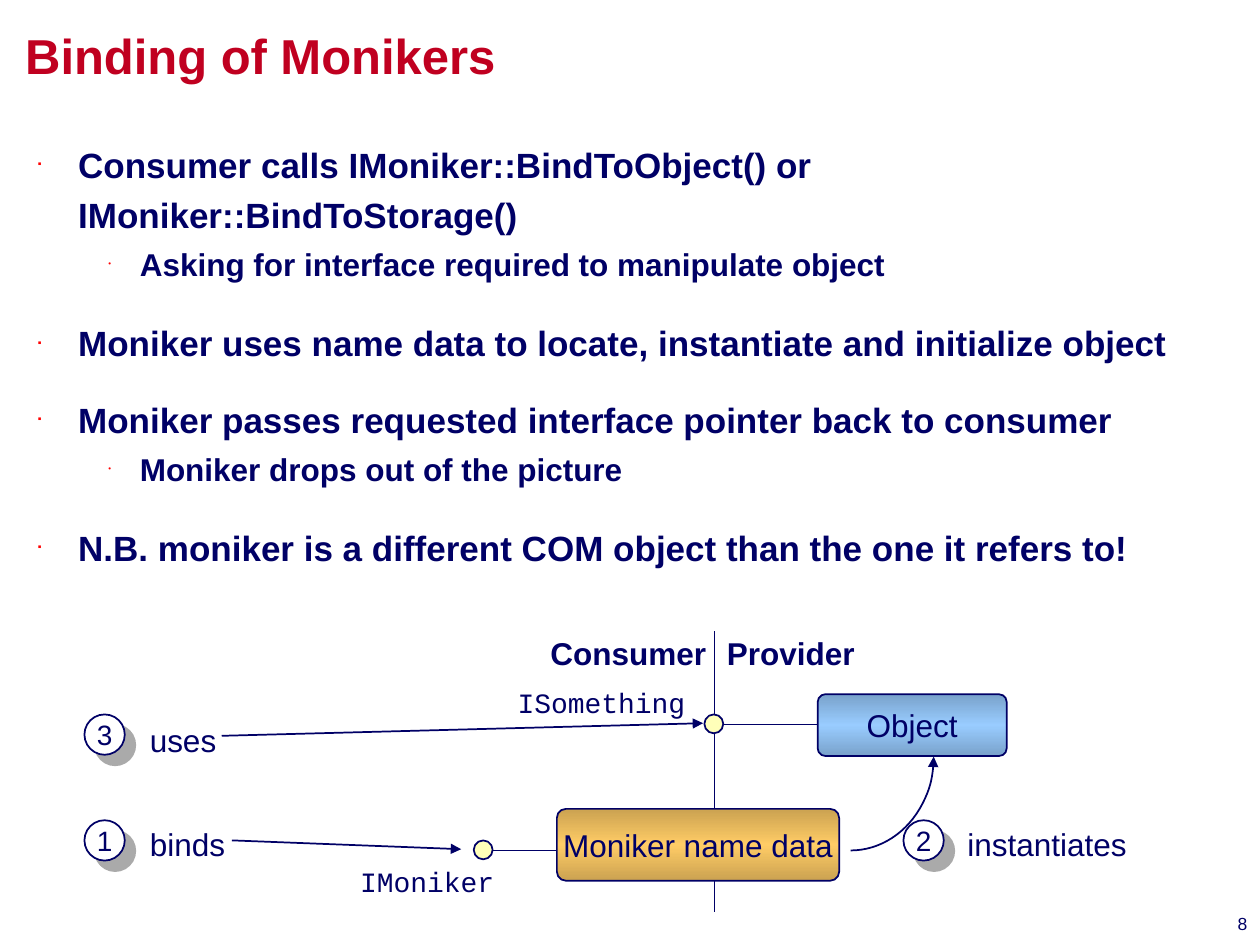
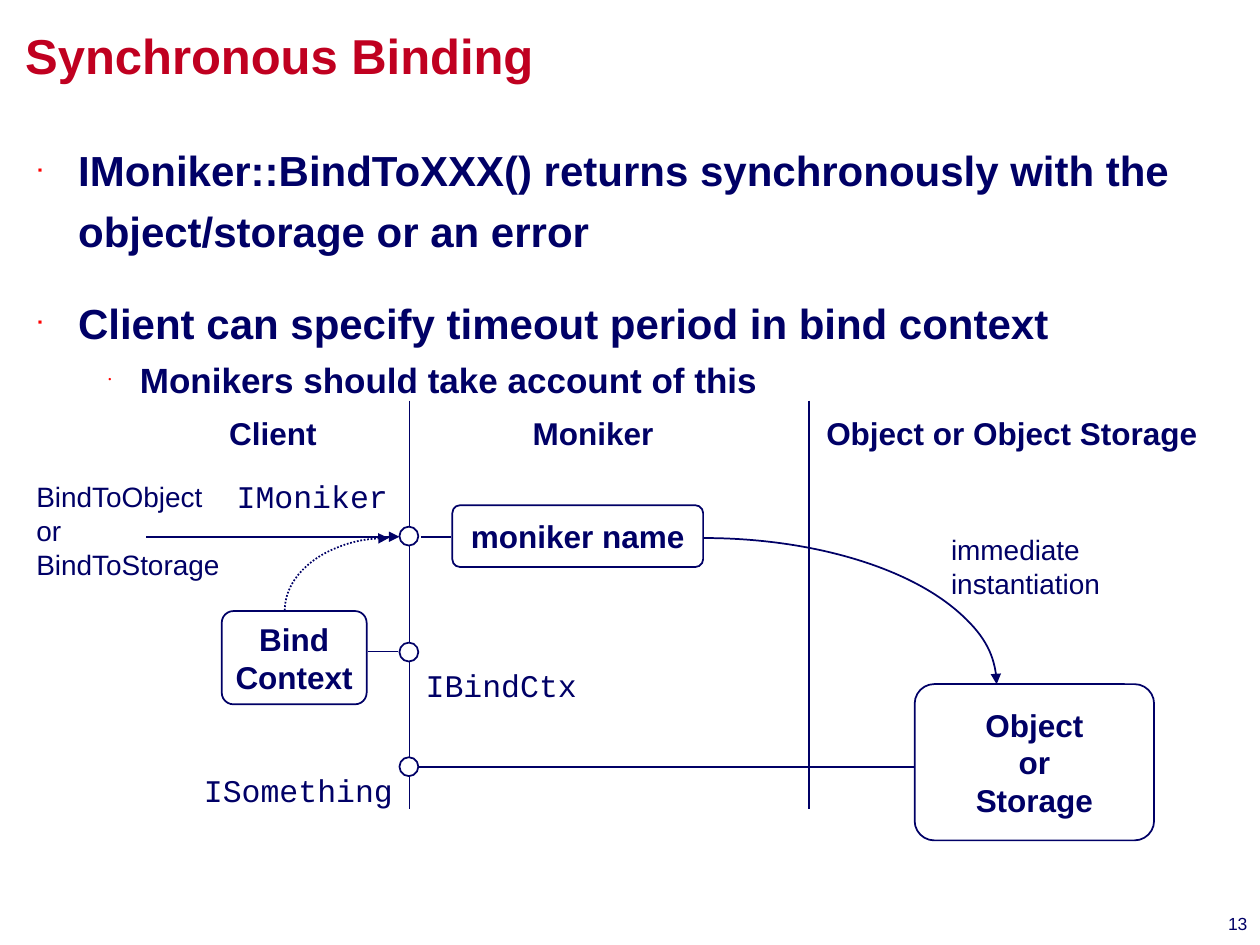
from copy import deepcopy
from typing import NamedTuple

from lxml import etree
from pptx import Presentation
from pptx import util as u
from pptx.dml.color import RGBColor
from pptx.enum import dml, shapes, text
from pptx.oxml.ns import qn

PX = 9144  # EMU in one px, 100 px to the inch
SLIDE_WIDTH, SLIDE_HEIGHT = 1000, 750
PORT_SIZE, BADGE_SIZE = 15, 32
SANS, MONO = "Arial", "Courier New"
COLORS = {
    "navy": "000066",
    "title": "C00020",
    "bullet": "FF0000",
    "white": "FFFFFF",
    "port": "FFFFB9",
    "gold": "FFCC66",
    "dark gold": "CBA251",
    "sky": "99CCFF",
    "dark sky": "79A2CB",
    "shadow": "AAAAAA",
}


# Parts of a slide; every length is in px
class Bullet(NamedTuple):
    text: str
    level: int = 0


class Link(NamedTuple):
    x1: int
    y1: int
    x2: int
    y2: int
    arrow: str = ""


class Box(NamedTuple):
    text: str
    left: int
    top: int
    width: int
    height: int
    bold: bool = True
    shades: tuple[str, ...] = ("white",)


class QuarterArc(NamedTuple):
    left: int
    top: int
    width: int
    height: int
    start: int
    end: int
    arrow: str
    dotted: bool = False


class Port(NamedTuple):
    left: int
    top: int
    color: str = "white"


class Badge(NamedTuple):
    number: str
    left: int
    top: int


class Label(NamedTuple):
    text: str
    left: int
    top: int
    width: int
    size: int = 18
    bold: bool = False
    font: str = SANS


class Page(NamedTuple):
    title: str
    number: str
    sizes: tuple[int, int]
    bullets: list[Bullet]
    links: list[Link]
    boxes: list[Box]
    arcs: list[QuarterArc]
    ports: list[Port]
    badges: list[Badge]
    labels: list[Label]


PAGES = [
    Page(
        "Binding of Monikers", "8", (20, 18),
        bullets=[
            Bullet("Consumer calls IMoniker::BindToObject() or IMoniker::BindToStorage()"),
            Bullet("Asking for interface required to manipulate object", 1),
            Bullet("Moniker uses name data to locate, instantiate and initialize object"),
            Bullet("Moniker passes requested interface pointer back to consumer"),
            Bullet("Moniker drops out of the picture", 1),
            Bullet("N.B. moniker is a different COM object than the one it refers to!"),
        ],
        links=[
            Link(467, 675, 389, 675),
            Link(567, 501, 567, 724),
            Link(651, 575, 572, 575),
            Link(184, 667, 366, 674, "tailEnd"),
            Link(176, 584, 558, 574, "tailEnd"),
        ],
        boxes=[
            Box("Moniker name data", 442, 642, 224, 57, False, ("dark gold", "gold", "dark gold")),
            Box("Object", 649, 551, 150, 49, False, ("dark sky", "sky", "dark sky")),
        ],
        arcs=[QuarterArc(609, 526, 132, 149, 0, 90, "headEnd")],
        ports=[Port(559, 567, "port"), Port(376, 667, "port")],
        badges=[Badge("2", 717, 651), Badge("1", 67, 651), Badge("3", 67, 567)],
        labels=[
            Label("Consumer", 427, 498, 147, bold=True),
            Label("Provider", 567, 498, 132, bold=True),
            Label("IMoniker", 276, 681, 164, 16, font=MONO),
            Label("ISomething", 401, 539, 166, 16, font=MONO),
            Label("instantiates", 758, 650, 165),
            Label("binds", 109, 650, 165),
            Label("uses", 109, 567, 165),
        ],
    ),
    Page(
        "Synchronous Binding", "13", (24, 20),
        bullets=[
            Bullet("IMoniker::BindToXXX() returns synchronously with the object/storage or an error"),
            Bullet("Client can specify timeout period in bind context"),
            Bullet("Monikers should take account of this", 1),
        ],
        links=[
            Link(325, 318, 325, 642),
            Link(642, 318, 642, 642),
            Link(334, 426, 358, 426),
            Link(292, 517, 316, 517),
            Link(116, 426, 317, 426, "tailEnd"),
            Link(726, 609, 324, 609),
        ],
        boxes=[
            Box("moniker name", 359, 401, 199, 49),
            Box("Object\nor\nStorage", 726, 543, 190, 124),
            Box("Bind\nContext", 176, 485, 115, 74),
        ],
        arcs=[
            QuarterArc(226, 427, 165, 115, 180, 270, "tailEnd", dotted=True),
            QuarterArc(326, 427, 465, 232, 270, 0, "tailEnd"),
        ],
        ports=[Port(317, 418), Port(317, 510), Port(317, 601)],
        badges=[],
        labels=[
            Label("Client", 172, 324, 100, bold=True),
            Label("Moniker", 413, 324, 130, bold=True),
            Label("Object or Object Storage", 646, 324, 330, bold=True),
            Label("IMoniker", 178, 374, 150, font=MONO),
            Label("IBindCtx", 328, 524, 150, font=MONO),
            Label("ISomething", 152, 607, 180, font=MONO),
            Label("BindToObject\nor\nBindToStorage", 19, 376, 180, 16),
            Label("immediate\ninstantiation", 745, 418, 150, 16),
        ],
    ),
]


# Shared formatting
def rgb(name: str) -> RGBColor:
    return RGBColor.from_string(COLORS[name])


def emu(*lengths: int) -> list[u.Emu]:
    return [u.Emu(length * PX) for length in lengths]


def set_insets(frame, left: int, top: int, right: int, bottom: int) -> None:
    frame.margin_left, frame.margin_top, frame.margin_right, frame.margin_bottom = emu(
        left, top, right, bottom)


def format_runs(frame, size: int, bold=False, font=SANS, color="navy", align=text.PP_ALIGN.LEFT) -> None:
    for paragraph in frame.paragraphs:
        paragraph.alignment = align
        for run in paragraph.runs:
            run.font.name, run.font.size, run.font.bold = font, u.Pt(size), bold
            run.font.color.rgb = rgb(color)


def set_outline(shape, arrow: str = "", dotted: bool = False) -> None:
    shape.line.width = u.Pt(1)
    shape.line.color.rgb = rgb("navy")
    if dotted:
        shape.line.dash_style = dml.MSO_LINE.ROUND_DOT
    if arrow:
        outline = shape._element.spPr.find(qn("a:ln"))
        etree.SubElement(outline, qn(f"a:{arrow}"), type="triangle")


def add_preset(slide, kind, left: int, top: int, width: int, height: int):
    shape = slide.shapes.add_shape(kind, *emu(left, top, width, height))
    shape.shadow.inherit = False
    return shape


def fill_shape(shape, shades: tuple[str, ...]) -> None:
    if len(shades) == 1:
        shape.fill.solid()
        shape.fill.fore_color.rgb = rgb(shades[0])
        return
    shape.fill.gradient()
    shape.fill.gradient_angle = 90
    stops = shape._element.spPr.find(f".//{qn('a:gsLst')}")
    stops.append(deepcopy(stops[0]))
    for index, (stop, shade) in enumerate(zip(shape.fill.gradient_stops, shades)):
        stop.position = index / (len(shades) - 1)
        stop.color.rgb = rgb(shade)


def center_text(shape, words: str, size: int, bold: bool = False) -> None:
    frame = shape.text_frame
    frame.text = words
    frame.word_wrap = False
    frame.vertical_anchor = text.MSO_ANCHOR.MIDDLE
    set_insets(frame, 10, 5, 10, 5)
    format_runs(frame, size, bold, align=text.PP_ALIGN.CENTER)


# Drawing of each kind of part
def draw_link(slide, link: Link) -> None:
    line = slide.shapes.add_connector(shapes.MSO_CONNECTOR.STRAIGHT, *emu(*link[:4]))
    set_outline(line, link.arrow)
    etree.SubElement(line._element.spPr, qn("a:effectLst"))


def draw_box(slide, box: Box) -> None:
    shape = add_preset(slide, shapes.MSO_SHAPE.ROUNDED_RECTANGLE, *box[1:5])
    shape.adjustments[0] = 0.125
    fill_shape(shape, box.shades)
    set_outline(shape)
    center_text(shape, box.text, 18, box.bold)


def draw_arc(slide, arc: QuarterArc) -> None:
    shape = add_preset(slide, shapes.MSO_SHAPE.ARC, *arc[:4])
    for index, degrees in enumerate((arc.start, arc.end)):
        shape.adjustments[index] = degrees * 0.6
    shape.fill.background()
    set_outline(shape, arc.arrow, arc.dotted)


def draw_port(slide, port: Port) -> None:
    circle = add_preset(slide, shapes.MSO_SHAPE.OVAL, port.left, port.top, PORT_SIZE, PORT_SIZE)
    fill_shape(circle, (port.color,))
    set_outline(circle)


def draw_badge(slide, badge: Badge) -> None:
    circle = add_preset(slide, shapes.MSO_SHAPE.OVAL, badge.left, badge.top, BADGE_SIZE, BADGE_SIZE)
    fill_shape(circle, ("white",))
    set_outline(circle)
    effects = circle._element.spPr.find(qn("a:effectLst"))
    shadow = etree.SubElement(effects, qn("a:outerShdw"), blurRad="0", dist=str(u.Pt(8.5)),
                              dir=str(45 * 60000), algn="ctr", rotWithShape="0")
    etree.SubElement(shadow, qn("a:srgbClr"), val=COLORS["shadow"])
    center_text(circle, badge.number, 16)


def draw_label(slide, label: Label) -> None:
    lines = label.text.count("\n") + 1
    height = int(10 + lines * label.size * 1.67)
    frame = slide.shapes.add_textbox(*emu(label.left, label.top, label.width, height)).text_frame
    frame.text = label.text
    frame.word_wrap = True
    set_insets(frame, 10, 5, 10, 5)
    format_runs(frame, label.size, label.bold, label.font)


# Title, list and page number
def place(placeholder, left: int, top: int, width: int, height: int):
    placeholder.left, placeholder.top, placeholder.width, placeholder.height = emu(left, top, width, height)
    frame = placeholder.text_frame
    frame.word_wrap = True
    frame.auto_size = text.MSO_AUTO_SIZE.NONE
    frame.vertical_anchor = text.MSO_ANCHOR.TOP
    return frame


def write_title(slide, title: str) -> None:
    frame = place(slide.shapes.title, 0, 0, SLIDE_WIDTH, 100)
    set_insets(frame, 20, 20, 197, 14)
    frame.text = title
    format_runs(frame, 28, True, color="title")


def write_bullets(slide, bullets: list[Bullet], sizes: tuple[int, int]) -> None:
    frame = place(slide.placeholders[1], 20, 102, 952, 633)
    set_insets(frame, 10, 5, 10, 5)
    frame.text = "\n".join(bullet.text for bullet in bullets)
    format_runs(frame, sizes[0], True)
    for index, (paragraph, bullet) in enumerate(zip(frame.paragraphs, bullets)):
        size = sizes[bullet.level]
        indent, hanging, mark, percent, spacing, before, after = (
            (32, 32, "▪", 30, 1.2, 0.75, 0), (81, 25, "•", 25, 1.1, 0.19, 0.12))[bullet.level]
        paragraph.level = bullet.level
        paragraph.line_spacing = spacing
        paragraph.space_before = u.Pt(before * size if index else 0)
        paragraph.space_after = u.Pt(after * size)
        properties = paragraph._p.get_or_add_pPr()
        properties.set("marL", str(indent * PX))
        properties.set("indent", str(-hanging * PX))
        mark_color = etree.SubElement(properties, qn("a:buClr"))
        etree.SubElement(mark_color, qn("a:srgbClr"), val=COLORS["bullet"])
        etree.SubElement(properties, qn("a:buSzPct"), val=str(percent * 1000))
        etree.SubElement(properties, qn("a:buChar"), char=mark)
        for run in paragraph.runs:
            run.font.size = u.Pt(size)


def write_page_number(slide, number: str) -> None:
    frame = slide.shapes.add_textbox(*emu(640, 720, 350, 17)).text_frame
    frame.text = number
    frame.word_wrap = True
    set_insets(frame, 0, 5, 0, 5)
    format_runs(frame, 10, align=text.PP_ALIGN.RIGHT)


def build_page(deck, page: Page) -> None:
    slide = deck.slides.add_slide(deck.slide_layouts[1])
    write_title(slide, page.title)
    write_bullets(slide, page.bullets, page.sizes)
    write_page_number(slide, page.number)
    for draw, parts in ((draw_link, page.links), (draw_box, page.boxes), (draw_arc, page.arcs),
                        (draw_port, page.ports), (draw_badge, page.badges), (draw_label, page.labels)):
        for part in parts:
            draw(slide, part)


def main() -> None:
    deck = Presentation()
    deck.slide_width, deck.slide_height = emu(SLIDE_WIDTH, SLIDE_HEIGHT)
    for page in PAGES:
        build_page(deck, page)
    deck.save("out.pptx")


if __name__ == "__main__":
    main()
